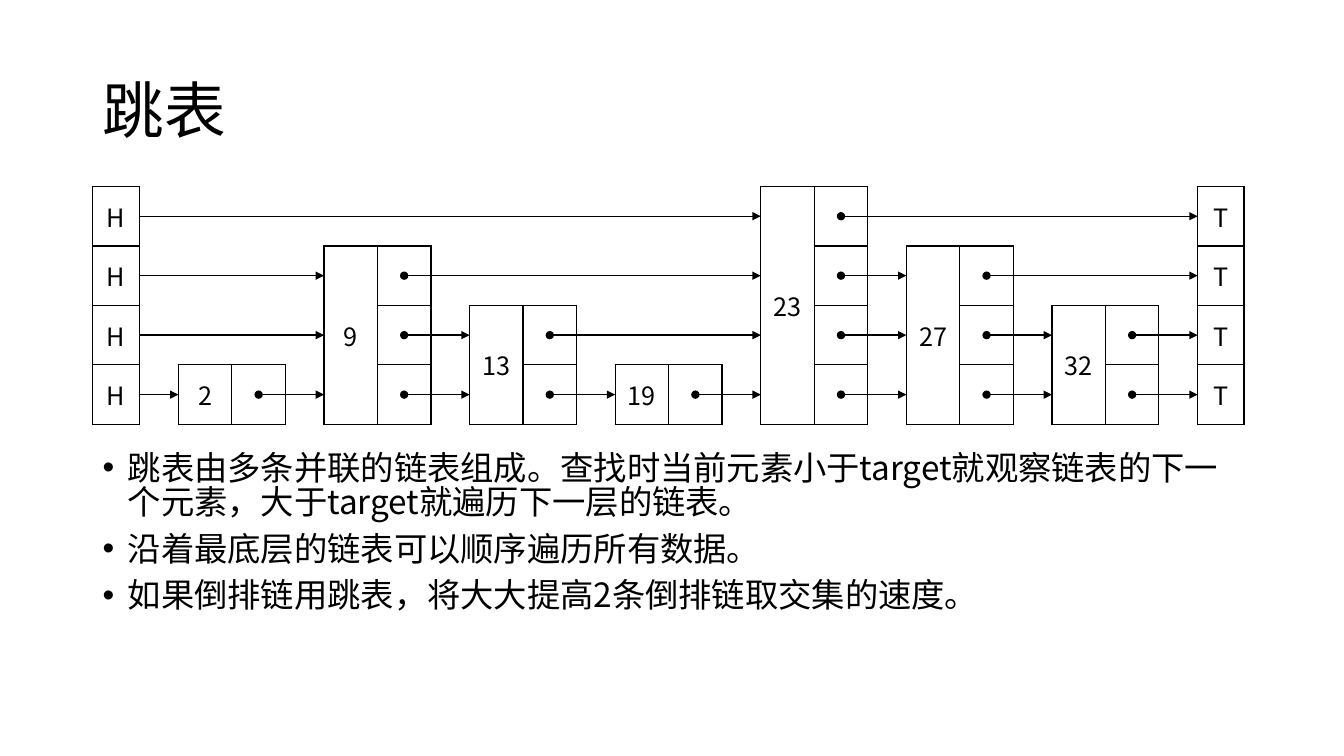
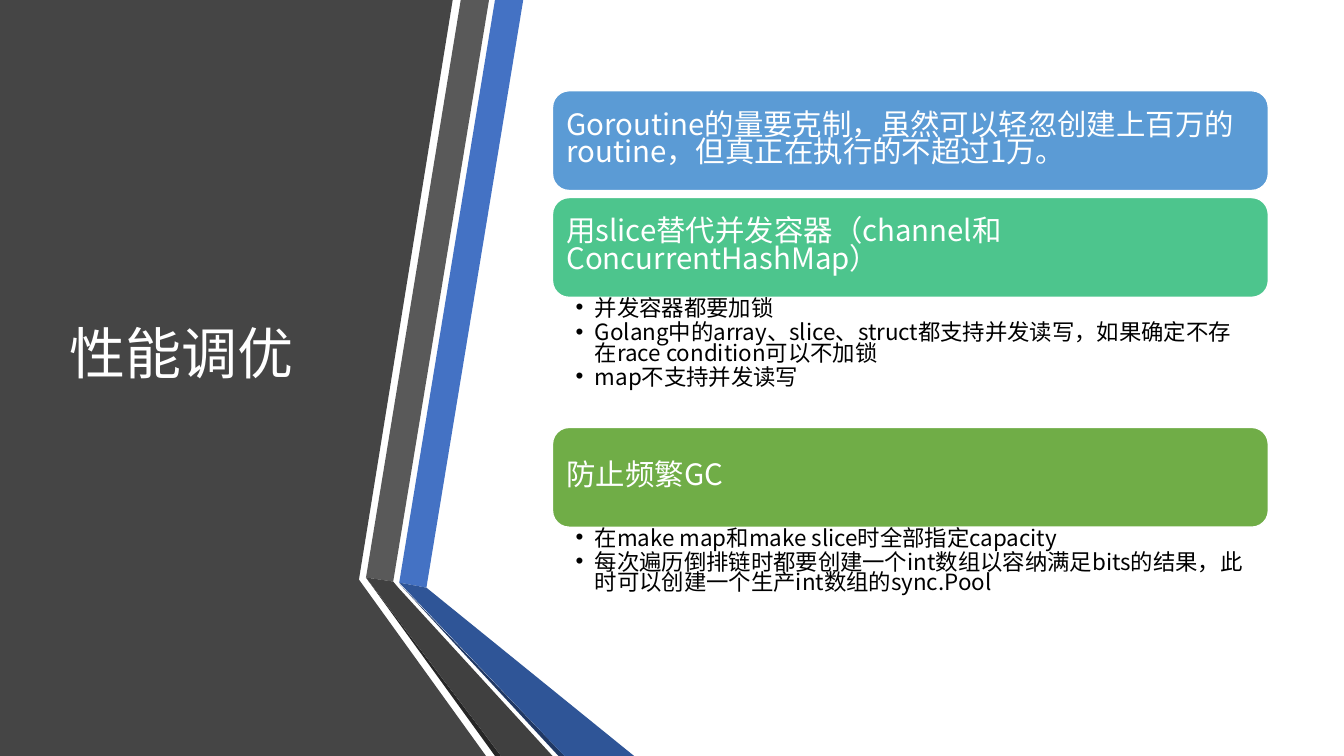
"""Builds two slides: a skip list diagram and performance tuning advice."""
from itertools import pairwise

from lxml.etree import SubElement
from pptx import Presentation
from pptx.dml.color import RGBColor
from pptx.enum.shapes import MSO_CONNECTOR as Connector, MSO_SHAPE as Shape
from pptx.enum.text import MSO_ANCHOR as Anchor, PP_ALIGN as Align
from pptx.oxml.ns import qn
from pptx.util import Inches, Pt

FONT = "Noto Sans CJK SC"
BLACK = RGBColor(0x00, 0x00, 0x00)
WHITE = RGBColor(0xFF, 0xFF, 0xFF)
CHARCOAL = RGBColor(0x45, 0x45, 0x45)
BLUE = RGBColor(0x44, 0x72, 0xC4)
DEEP_BLUE = RGBColor(0x2F, 0x55, 0x97)
NAVY = RGBColor(0x20, 0x38, 0x64)
GREY = RGBColor(0x59, 0x59, 0x59)
DARK_GREY = RGBColor(0x40, 0x40, 0x40)
SHADE = RGBColor(0x26, 0x26, 0x26)
SKY = RGBColor(0x5B, 0x9B, 0xD5)
MINT = RGBColor(0x4D, 0xC5, 0x8D)
GREEN = RGBColor(0x70, 0xAD, 0x47)

LEVELS = 4
LIST_TOP, LEVEL_HEIGHT = 1.85, 0.59
HEAD_LEFT, END_WIDTH = 0.92, 0.46
FIRST_NODE, NODE_PITCH, CELL_WIDTH = 1.77, 1.444, 0.53
NODES = [("2", 1), ("9", 3), ("13", 2), ("19", 1), ("23", 4), ("27", 3), ("32", 2)]
SKIP_LIST_POINTS = [
    "跳表由多条并联的链表组成。查找时当前元素小于target就观察链表的下一个元素，大于target就遍历下一层的链表。",
    "沿着最底层的链表可以顺序遍历所有数据。",
    "如果倒排链用跳表，将大大提高2条倒排链取交集的速度。",
]

CARD_LEFT, CARD_TOP, CARD_WIDTH, CARD_HEIGHT, CARD_GAP = 5.48, 0.9, 7.1, 0.99, 0.07
CARDS = [
    (SKY, "Goroutine的量要克制，虽然可以轻忽创建上百万的routine，但真正在执行的不超过1万。", [], CARD_GAP),
    (MINT, "用slice替代并发容器（channel和ConcurrentHashMap）", [
        "并发容器都要加锁",
        "Golang中的array、slice、struct都支持并发读写，如果确定不存在race condition可以不加锁",
        "map不支持并发读写",
    ], 1.29),
    (GREEN, "防止频繁GC", [
        "在make map和make slice时全部指定capacity",
        "每次遍历倒排链时都要创建一个int数组以容纳满足bits的结果，此时可以创建一个生产int数组的sync.Pool",
    ], 0.95),
]
BANDS = [
    (CHARCOAL, [(0, 0), (4.49, 0), (3.56, 5.75), (4.82, 7.5), (0, 7.5)]),
    (BLUE, [(3.96, 5.78), (4.23, 5.83), (5.19, 0), (4.91, 0)]),
    (GREY, [(4.85, 0), (4.57, 0), (3.63, 5.73), (3.9, 5.77)]),
    (SHADE, [(3.63, 5.73), (4.91, 7.5), (4.97, 7.5)]),
    (NAVY, [(3.96, 5.79), (5.54, 7.5), (5.6, 7.5)]),
    (DEEP_BLUE, [(3.96, 5.78), (5.6, 7.5), (6.29, 7.5), (4.23, 5.83)]),
    (DARK_GREY, [(3.63, 5.73), (4.97, 7.5), (5.48, 7.5), (3.95, 5.83), (3.9, 5.77)]),
]


def inches(*lengths):
    return [Inches(length) for length in lengths]


def style_runs(para, size, color):
    for span in para.runs:
        span.font.size = Pt(size)
        span.font.name = FONT
        span.font.color.rgb = color
        SubElement(span.font._element, qn("a:ea"), typeface=FONT)


def add_bullet(para, indent):
    properties = para._p.get_or_add_pPr()
    properties.set("marL", str(Inches(indent)))
    properties.set("indent", str(-Inches(indent)))
    SubElement(properties, qn("a:buFont"), typeface="Arial")
    SubElement(properties, qn("a:buChar"), char="•")


def write(frame, lines, size, color, spacing, indent=0, before=0, after=0):
    frame.word_wrap = True
    for index, line in enumerate(lines):
        para = frame.add_paragraph() if index else frame.paragraphs[0]
        para.text = line
        para.alignment = Align.LEFT
        if indent:
            add_bullet(para, indent)
        para.line_spacing = spacing
        para.space_before = Pt(before if index else 0)
        para.space_after = Pt(after)
        style_runs(para, size, color)


def set_margins(frame, left, top, right, bottom):
    frame.margin_left, frame.margin_top, frame.margin_right, frame.margin_bottom = inches(
        left, top, right, bottom)


def add_title(page, text, bounds, size, color):
    box = page.shapes.add_textbox(*inches(*bounds))
    box.text_frame.vertical_anchor = Anchor.MIDDLE
    write(box.text_frame, [text], size, color, 0.9)


def style_cell(cell):
    properties = cell._tc.get_or_add_tcPr()
    for side in ("lnL", "lnR", "lnT", "lnB"):
        border = SubElement(properties, qn(f"a:{side}"), w=str(Pt(1)))
        fill = SubElement(border, qn("a:solidFill"))
        SubElement(fill, qn("a:srgbClr"), val=str(BLACK))
    cell.fill.background()
    cell.vertical_anchor = Anchor.MIDDLE


def add_tower(page, left, widths, labels, height):
    """Draws a column of cells standing on the bottom level."""
    top = LIST_TOP + (LEVELS - height) * LEVEL_HEIGHT
    frame = page.shapes.add_table(
        height, len(widths), *inches(left, top, sum(widths), height * LEVEL_HEIGHT))
    table = frame.table
    table.first_row = table.horz_banding = False
    for column, width in zip(table.columns, widths):
        column.width = Inches(width)
    for row in table.rows:
        row.height = Inches(LEVEL_HEIGHT)
    for cell in table.iter_cells():
        style_cell(cell)
    if len(labels) == 1 and height > 1:
        table.cell(0, 0).merge(table.cell(height - 1, 0))
    for row, label in enumerate(labels):
        para = table.cell(row, 0).text_frame.paragraphs[0]
        para.text = label
        para.alignment = Align.CENTER
        style_runs(para, 18, BLACK)


def add_link(page, start, end, y, dotted):
    link = page.shapes.add_connector(Connector.STRAIGHT, *inches(start, y, end, y))
    link.line.color.rgb = BLACK
    link.line.width = Pt(1)
    outline = link.line._get_or_add_ln()
    if dotted:
        SubElement(outline, qn("a:headEnd"), type="oval")
    SubElement(outline, qn("a:tailEnd"), type="triangle")
    SubElement(link._element.spPr, qn("a:effectLst"))


def add_skip_list(page):
    """Draws the towers and links neighbours on every level."""
    tail_left = FIRST_NODE + len(NODES) * NODE_PITCH
    stops = [(HEAD_LEFT, HEAD_LEFT + END_WIDTH, LEVELS)]
    for index, (label, height) in enumerate(NODES):
        left = FIRST_NODE + index * NODE_PITCH
        add_tower(page, left, [CELL_WIDTH] * 2, [label], height)
        stops.append((left, left + 1.5 * CELL_WIDTH, height))
    stops.append((tail_left, tail_left, LEVELS))
    for left, label in ((HEAD_LEFT, "H"), (tail_left, "T")):
        add_tower(page, left, [END_WIDTH], [label] * LEVELS, LEVELS)
    for level in range(LEVELS):
        y = LIST_TOP + (level + 0.5) * LEVEL_HEIGHT
        reached = [stop for stop in stops if stop[2] >= LEVELS - level]
        for source, target in pairwise(reached):
            add_link(page, source[1], target[0], y, source is not stops[0])


def add_band(page, color, points):
    start, *others = [inches(*point) for point in points]
    builder = page.shapes.build_freeform(*start)
    builder.add_line_segments(others, close=True)
    band = builder.convert_to_shape()
    band.shadow.inherit = False
    band.fill.solid()
    band.fill.fore_color.rgb = color
    band.line.fill.background()


def add_card(page, top, color, heading):
    card = page.shapes.add_shape(
        Shape.ROUNDED_RECTANGLE, *inches(CARD_LEFT, top, CARD_WIDTH, CARD_HEIGHT))
    card.shadow.inherit = False
    card.fill.solid()
    card.fill.fore_color.rgb = color
    card.line.color.rgb = WHITE
    card.line.width = Pt(1)
    card.text_frame.vertical_anchor = Anchor.MIDDLE
    set_margins(card.text_frame, 0.09, 0.09, 0.09, 0.09)
    write(card.text_frame, [heading], 21, WHITE, 0.77)


def add_details(page, top, height, lines):
    box = page.shapes.add_textbox(*inches(CARD_LEFT, top, CARD_WIDTH, height))
    set_margins(box.text_frame, 0.23, 0.03, 0.16, 0.03)
    write(box.text_frame, lines, 16, BLACK, 0.75, indent=0.19, after=3)


def build_skip_list_page(page):
    add_title(page, "跳表", (0.92, 0.4, 11.5, 1.45), 44, BLACK)
    box = page.shapes.add_textbox(*inches(0.92, 4.45, 11.5, 2.08))
    write(box.text_frame, SKIP_LIST_POINTS, 23.8, BLACK, 0.85, indent=0.25, before=9)
    add_skip_list(page)


def build_tuning_page(page):
    for color, points in BANDS:
        add_band(page, color, points)
    add_title(page, "性能调优", (0.59, 0.75, 3.04, 5.58), 40, WHITE)
    top = CARD_TOP
    for color, heading, details, space in CARDS:
        add_card(page, top, color, heading)
        top += CARD_HEIGHT
        if details:
            add_details(page, top, space, details)
        top += space


def main():
    deck = Presentation()
    deck.slide_width, deck.slide_height = inches(13.33, 7.5)
    for build in (build_skip_list_page, build_tuning_page):
        build(deck.slides.add_slide(deck.slide_layouts[6]))
    deck.save("out.pptx")


if __name__ == "__main__":
    main()
